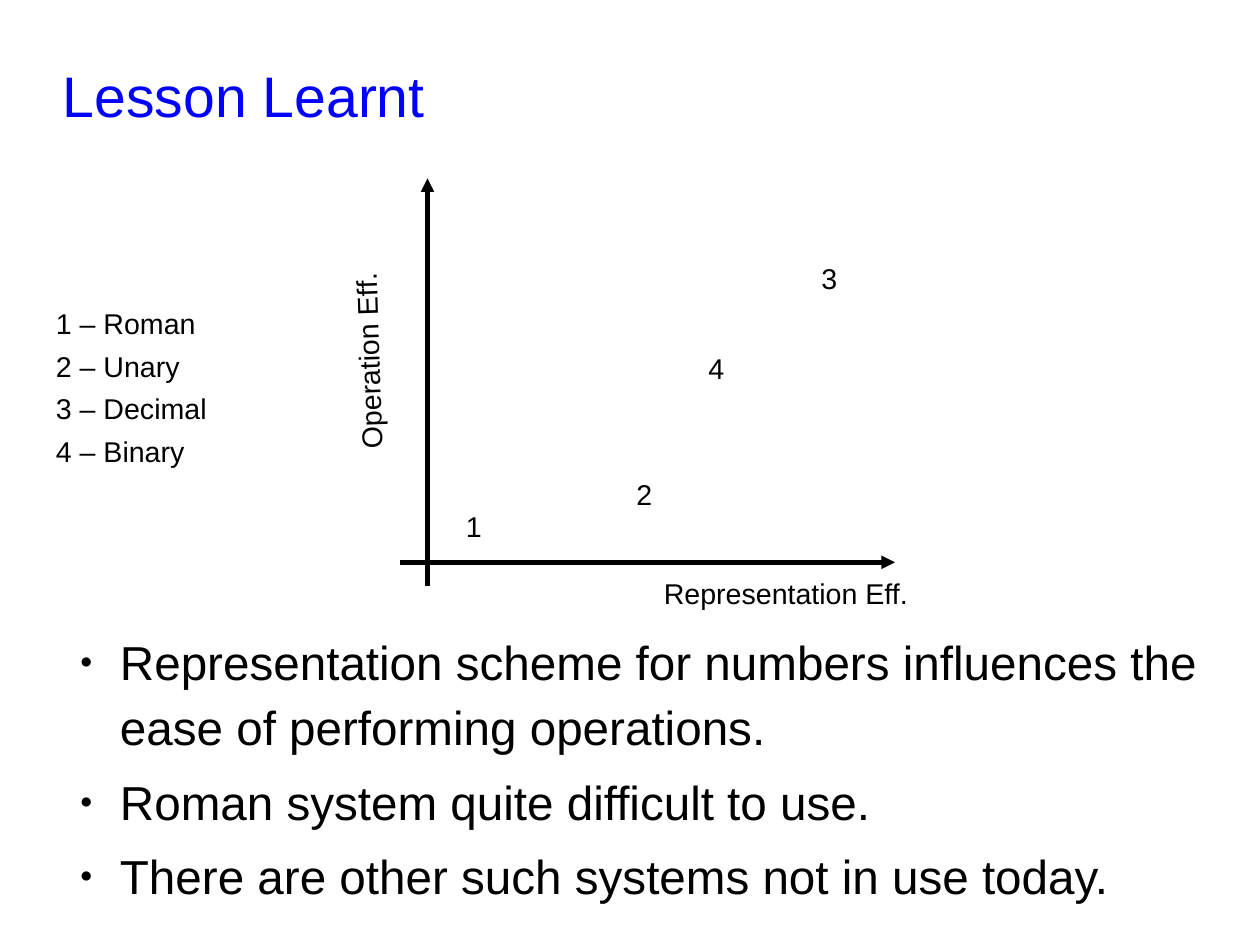
import pptx
import pptx.dml.color
import pptx.enum.shapes
import pptx.enum.text
import pptx.oxml.ns
import pptx.util
from lxml import etree

BLACK = pptx.dml.color.RGBColor(0x00, 0x00, 0x00)
BLUE = pptx.dml.color.RGBColor(0x00, 0x00, 0xFF)
ANCHOR = pptx.enum.text.MSO_ANCHOR
FONT = "Arial"


def add_element(parent, tag, **attributes):
    return etree.SubElement(parent, pptx.oxml.ns.qn(tag), attributes)


def format_text(para, text, size=18, color=BLACK, spacing=1.24, after=0):
    span = para.add_run()
    span.text = text
    span.font.name = FONT
    span.font.size = pptx.util.Pt(size)
    span.font.color.rgb = color
    para.line_spacing = spacing
    para.space_after = pptx.util.Pt(after)


class LessonSlide:
    """Places elements by percentages of the slide's width and height."""

    def __init__(self, deck):
        self.width = deck.slide_width
        self.height = deck.slide_height
        self.page = deck.slides.add_slide(deck.slide_layouts[6])

    def across(self, percent):
        return round(self.width * percent / 100)

    def down(self, percent):
        return round(self.height * percent / 100)

    def text(self, lines, left, top, width, height, inset=(0.1, 0.05), anchor=ANCHOR.TOP,
             rotation=0, bullets=False, **style):
        box = self.page.shapes.add_textbox(
            self.across(left), self.down(top), self.across(width), self.down(height))
        box.rotation = rotation
        frame = box.text_frame
        frame.word_wrap = True
        frame.vertical_anchor = anchor
        frame.margin_left = frame.margin_right = pptx.util.Inches(inset[0])
        frame.margin_top = frame.margin_bottom = pptx.util.Inches(inset[1])
        for number, line in enumerate(lines):
            para = frame.add_paragraph() if number else frame.paragraphs[0]
            if bullets:
                self.bullet(para)
            format_text(para, line, **style)

    def bullet(self, para):
        props = para._p.get_or_add_pPr()
        props.set("marL", str(pptx.util.Inches(0.46)))
        props.set("indent", str(pptx.util.Inches(-0.35)))
        color = add_element(props, "a:buClr")
        add_element(color, "a:srgbClr", val=str(BLACK))
        add_element(props, "a:buSzPct", val="45000")
        add_element(props, "a:buFont", typeface=FONT)
        add_element(props, "a:buChar", char="●")

    def arrow(self, start, end):
        line = self.page.shapes.add_connector(
            pptx.enum.shapes.MSO_CONNECTOR.STRAIGHT,
            self.across(start[0]), self.down(start[1]),
            self.across(end[0]), self.down(end[1]))
        line.line.color.rgb = BLACK
        line.line.width = pptx.util.Pt(2.83)
        add_element(line.line._get_or_add_ln(), "a:tailEnd", type="triangle")
        add_element(line._element.spPr, "a:effectLst")


def main():
    deck = pptx.Presentation()
    deck.slide_width = pptx.util.Cm(28)
    deck.slide_height = pptx.util.Cm(21)
    slide = LessonSlide(deck)

    # Title and lessons
    slide.text(["Lesson Learnt"], 4.97, 4.59, 90, 9.07, inset=(0, 0),
               anchor=ANCHOR.MIDDLE, size=36, color=BLUE)
    slide.text(["Representation scheme for numbers influences the ease of performing operations.",
                "Roman system quite difficult to use.",
                "There are other such systems not in use today."],
               5.35, 66.14, 90, 31.92, inset=(0, 0), bullets=True,
               size=30, spacing=1.14, after=5.8)

    # Axes and their labels
    slide.arrow((31.75, 59.5), (71.03, 59.5))
    slide.arrow((33.93, 62.03), (33.93, 18.87))
    slide.text(["Representation Eff."], 51.79, 59.5, 21.41, 5.68)
    slide.text(["Operation Eff."], 20.85, 35.19, 16.06, 5.68, rotation=268)

    # Number systems on the plane
    systems = [("Roman", 36.09, 52.36), ("Unary", 49.62, 48.98),
               ("Decimal", 64.3, 26.12), ("Binary", 55.33, 35.67)]
    for number, (name, left, top) in enumerate(systems, 1):
        slide.text([str(number)], left, top, 3.09, 5.68)

    # Legend
    legend = [f"{number} – {name}" for number, (name, left, top) in enumerate(systems, 1)]
    slide.text(legend, 3.54, 30.94, 14.24, 19.23)

    deck.save("out.pptx")


if __name__ == "__main__":
    main()
